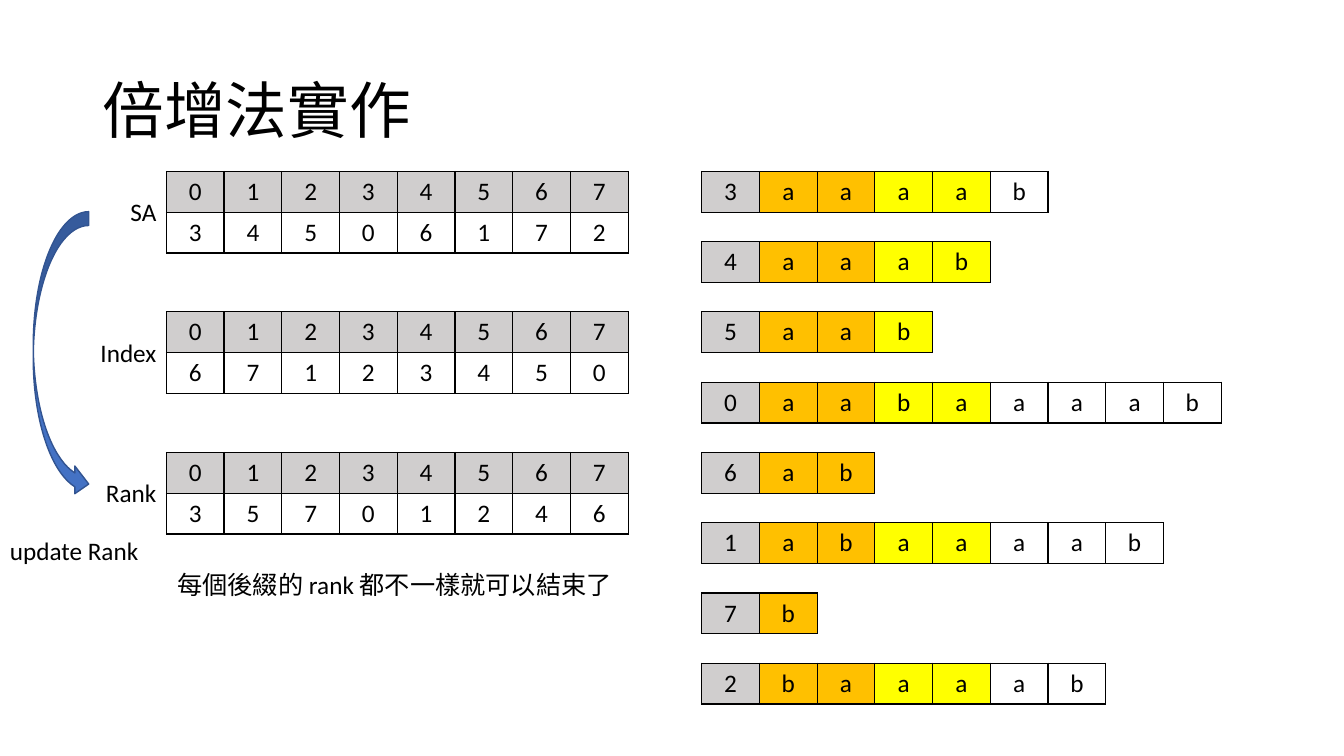
from lxml.etree import SubElement
from pptx import Presentation
from pptx.dml.color import RGBColor
from pptx.enum.shapes import MSO_SHAPE as Shape
from pptx.enum.text import MSO_ANCHOR as Anchor, MSO_AUTO_SIZE as AutoSize, PP_ALIGN as Align
from pptx.oxml.ns import qn
from pptx.util import Inches, Pt

FONT = "Calibri"
BLACK, WHITE, GRAY = "000000", "FFFFFF", "D0CECE"
ORANGE, YELLOW, BLUE, NAVY = "FFC000", "FFFF00", "4472C4", "325491"

# Grid shared by both halves of the slide
TOP = 1.7
COLUMN = 4.58 / 8
ROW = 0.81 / 2
STEP = (6.58 - TOP) / 7

# Suffix data: the rank is the inverse of the suffix array
WORD = "aabaaaab"
SUFFIX_ARRAY = [3, 4, 5, 0, 6, 1, 7, 2]
INDEX = [6, 7, 1, 2, 3, 4, 5, 0]
RANK = [SUFFIX_ARRAY.index(start) for start in range(len(WORD))]


def paint(color_format, color):
    color_format.rgb = RGBColor.from_string(color)


def fill_solid(target, color):
    target.fill.solid()
    paint(target.fill.fore_color, color)


def write(paragraph, text, size=18, align=Align.LEFT):
    paragraph.alignment = align
    run = paragraph.add_run()
    run.text = text
    run.font.size = Pt(size)
    run.font.name = FONT
    paint(run.font.color, BLACK)


def add_text(slide, box, text, size=18, align=Align.LEFT, anchor=Anchor.TOP):
    shape = slide.shapes.add_textbox(*map(Inches, box))
    frame = shape.text_frame
    frame.word_wrap = True
    frame.vertical_anchor = anchor
    if anchor == Anchor.TOP:
        frame.auto_size = AutoSize.SHAPE_TO_FIT_TEXT
    write(frame.paragraphs[0], text, size, align)
    return frame


def add_borders(cell):
    properties = cell._tc.get_or_add_tcPr()
    for position, side in enumerate(("lnL", "lnR", "lnT", "lnB")):
        line = SubElement(properties, qn(f"a:{side}"), w=str(Pt(1)))
        fill = SubElement(line, qn("a:solidFill"))
        SubElement(fill, qn("a:srgbClr"), val=BLACK)
        properties.insert(position, line)


def add_cells(slide, left, top, rows, color_of):
    """Place a table of equal cells; color_of(row, column) gives each fill."""
    columns = len(rows[0])
    frame = slide.shapes.add_table(len(rows), columns, Inches(left), Inches(top),
                                   Inches(columns * COLUMN), Inches(len(rows) * ROW))
    table = frame.table
    table.first_row = table.horz_banding = False
    for column in table.columns:
        column.width = Inches(COLUMN)
    for i, values in enumerate(rows):
        table.rows[i].height = Inches(ROW)
        for j, value in enumerate(values):
            cell = table.cell(i, j)
            cell.vertical_anchor = Anchor.MIDDLE
            fill_solid(cell, color_of(i, j))
            add_borders(cell)
            write(cell.text_frame.paragraphs[0], str(value), align=Align.CENTER)


def add_arrays(slide, left, top):
    """Three labelled arrays, each with a row of positions above its values."""
    arrays = [("SA", 0.46, SUFFIX_ARRAY), ("Index", 0.76, INDEX), ("Rank", 0.71, RANK)]
    for number, (label, width, values) in enumerate(arrays):
        y = top + number * 2 * STEP
        add_cells(slide, left, y, [range(len(values)), values],
                  lambda row, column: WHITE if row else GRAY)
        frame = add_text(slide, (left - width, y + ROW / 2, width, 0.4), label,
                         align=Align.RIGHT)
        frame.word_wrap = False


def add_suffixes(slide, left, top):
    """Sorted suffixes: the start, two orange letters, two yellow, the rest white."""
    colors = [GRAY, ORANGE, ORANGE, YELLOW, YELLOW] + [WHITE] * len(WORD)
    for number, start in enumerate(SUFFIX_ARRAY):
        add_cells(slide, left, top + number * STEP, [[start, *WORD[start:]]],
                  lambda row, column: colors[column])


def add_update_arrow(slide, box):
    arrow = slide.shapes.add_shape(Shape.CURVED_RIGHT_ARROW, *map(Inches, box))
    arrow.shadow.inherit = False
    fill_solid(arrow, BLUE)
    paint(arrow.line.color, NAVY)
    arrow.line.width = Pt(1)


def main():
    presentation = Presentation()
    presentation.slide_width = Inches(13.33)
    presentation.slide_height = Inches(7.5)
    slide = presentation.slides.add_slide(presentation.slide_layouts[6])

    # Title
    title = add_text(slide, (0.92, 0.4, 11.5, 1.45), "倍增法實作", 44, anchor=Anchor.MIDDLE)
    title.paragraphs[0].line_spacing = 0.9

    # Arrays on the left, suffixes on the right
    add_arrays(slide, 1.65, TOP)
    add_suffixes(slide, 6.96, TOP)

    # Arrow from SA to Rank, and the notes
    add_update_arrow(slide, (0.33, 2.1, 0.55, 2.84))
    add_text(slide, (0, 5.26, 1.48, 0.4), "update Rank")
    add_text(slide, (1.66, 5.6, 4.55, 0.4), "每個後綴的 rank 都不一樣就可以結束了")

    presentation.save("out.pptx")


if __name__ == "__main__":
    main()
